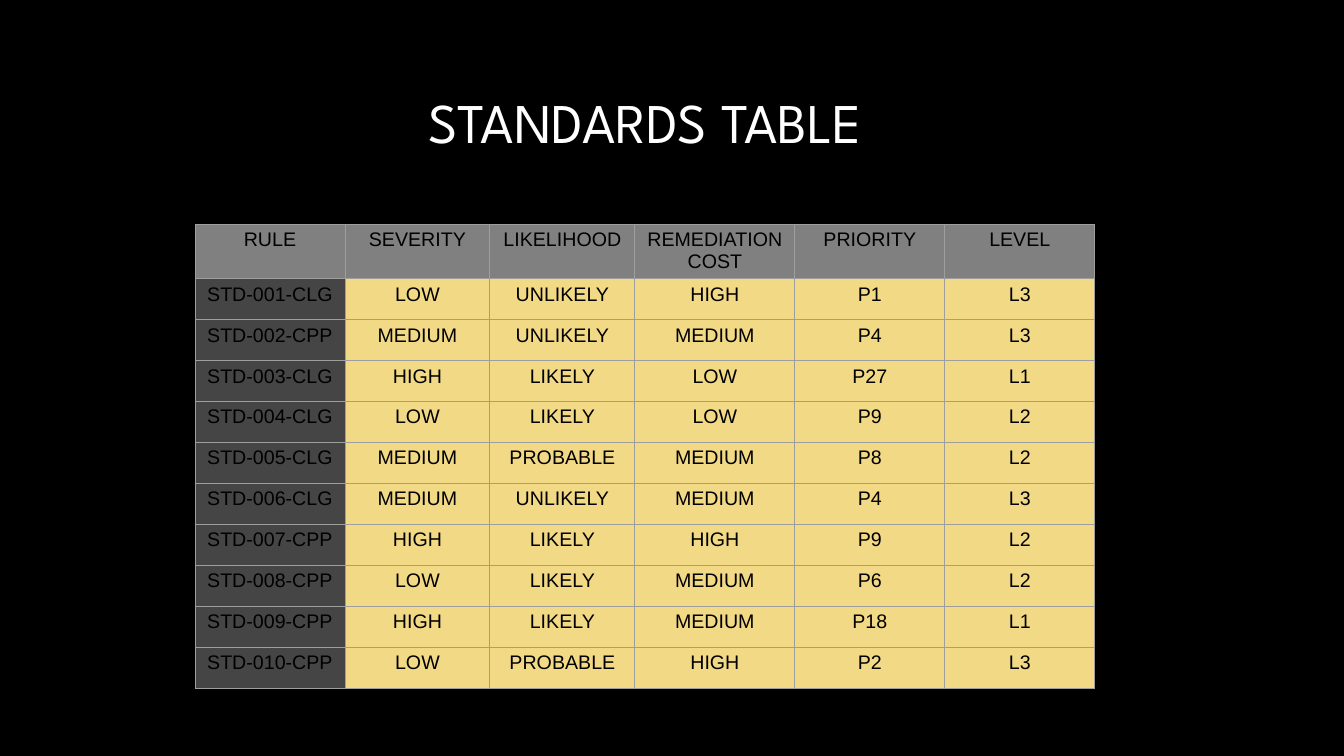
"""Build the standards table slide."""
from lxml import etree
from pptx import Presentation, util as u
from pptx.dml.color import RGBColor
from pptx.enum import text
from pptx.oxml import ns

PX = 914400 / 100.8


def px(n):
    return u.Emu(round(n * PX))


def paint(fill, hue):
    fill.solid()
    fill.fore_color.rgb = RGBColor.from_string(hue)


def write(frame, words, size=14, font="Arial", hue="000000", lead=None):
    frame.text = words
    par = frame.paragraphs[0]
    par.alignment = text.PP_ALIGN.CENTER
    par.line_spacing = lead
    face = par.runs[0].font
    face.size, face.name, face.bold = u.Pt(size), font, False
    paint(face.fill, hue)


deck = Presentation()
deck.slide_width, deck.slide_height = px(1344), px(756)
slide = deck.slides.add_slide(deck.slide_layouts[5])
paint(slide.background.fill, "000000")

title = slide.shapes.title
title.left, title.top, title.width, title.height = map(px, (195, 54, 900, 142))
title.text_frame.vertical_anchor = text.MSO_ANCHOR.MIDDLE
write(title.text_frame, "STANDARDS TABLE", size=40, font="League Spartan",
      hue="FFFFFF", lead=0.9)

rows = [
    ("RULE", "SEVERITY", "LIKELIHOOD", "REMEDIATION COST", "PRIORITY", "LEVEL"),
    ("STD-001-CLG", "LOW", "UNLIKELY", "HIGH", "P1", "L3"),
    ("STD-002-CPP", "MEDIUM", "UNLIKELY", "MEDIUM", "P4", "L3"),
    ("STD-003-CLG", "HIGH", "LIKELY", "LOW", "P27", "L1"),
    ("STD-004-CLG", "LOW", "LIKELY", "LOW", "P9", "L2"),
    ("STD-005-CLG", "MEDIUM", "PROBABLE", "MEDIUM", "P8", "L2"),
    ("STD-006-CLG", "MEDIUM", "UNLIKELY", "MEDIUM", "P4", "L3"),
    ("STD-007-CPP", "HIGH", "LIKELY", "HIGH", "P9", "L2"),
    ("STD-008-CPP", "LOW", "LIKELY", "MEDIUM", "P6", "L2"),
    ("STD-009-CPP", "HIGH", "LIKELY", "MEDIUM", "P18", "L1"),
    ("STD-010-CPP", "LOW", "PROBABLE", "HIGH", "P2", "L3"),
]
wides = [150, 145, 145, 160, 150, 150]
highs = [54] + [41] * (len(rows) - 1)
grid = slide.shapes.add_table(len(rows), len(wides), px(195), px(224),
                              px(sum(wides)), px(sum(highs))).table
for col, wide in zip(grid.columns, wides):
    col.width = px(wide)
for row, high in zip(grid.rows, highs):
    row.height = px(high)

for r, row in enumerate(rows):
    for c, words in enumerate(row):
        cell = grid.cell(r, c)
        write(cell.text_frame, words)
        props = cell._tc.get_or_add_tcPr()
        for side in "LRTB":
            line = etree.SubElement(props, ns.qn(f"a:ln{side}"), w=str(u.Pt(0.75)))
            solid = etree.SubElement(line, ns.qn("a:solidFill"))
            etree.SubElement(solid, ns.qn("a:srgbClr"), val="9E9E9E")
        paint(cell.fill, "808080" if r == 0 else "454545" if c == 0 else "F2D986")

deck.save("out.pptx")
